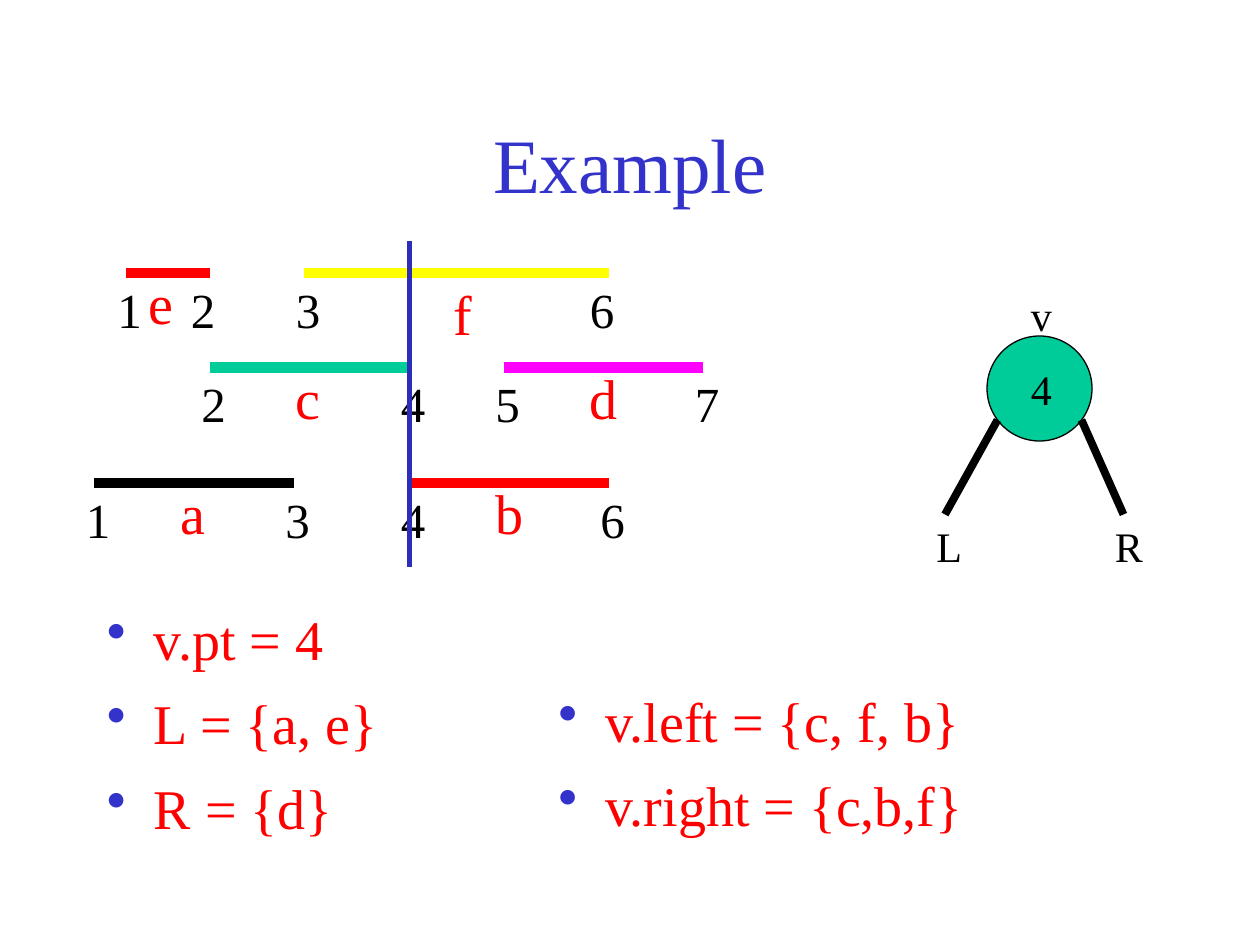
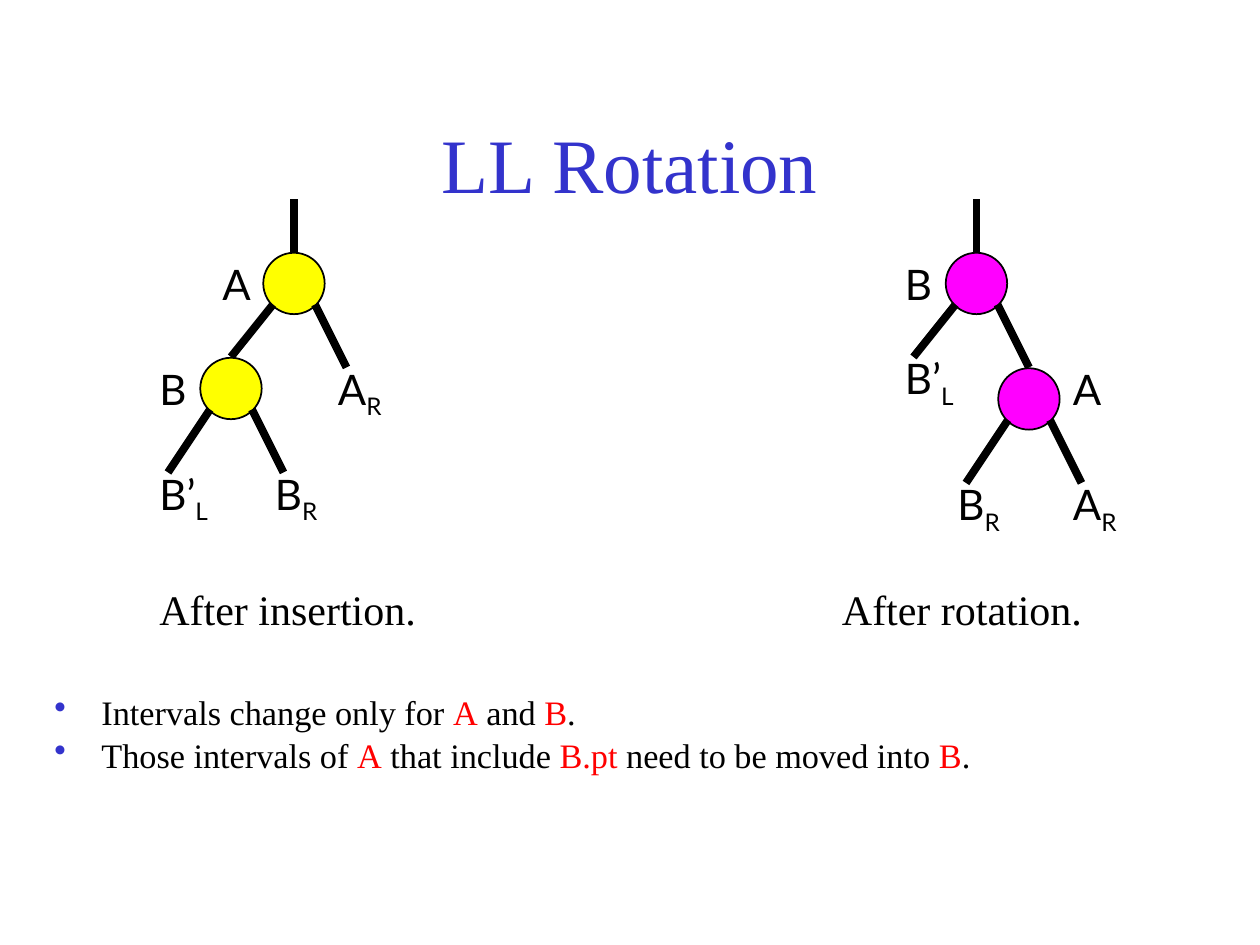
from dataclasses import dataclass

from lxml.etree import SubElement
from pptx import Presentation
from pptx.dml.color import RGBColor as Rgb
from pptx.enum.shapes import MSO_CONNECTOR as Connector, MSO_SHAPE as Preset
from pptx.enum.text import MSO_ANCHOR as Anchor, PP_ALIGN as Align
from pptx.oxml.ns import qn
from pptx.util import Cm, Pt


@dataclass(frozen=True)
class Theme:
    serif: str = "Times New Roman"
    sans: str = "Lato"
    blue: str = "3333CC"
    sweep: str = "2D2DB9"
    red: str = "FF0000"
    black: str = "000000"
    green: str = "00CC99"
    yellow: str = "FFFF00"
    magenta: str = "FF00FF"
    title: float = 44
    large: float = 32
    number: float = 28
    label: float = 24
    note: float = 19.6
    interval_line: float = 6
    branch_line: float = 4.5
    sweep_line: float = 3


THEME = Theme()
TITLE_ONLY = 5
GRID_STEP = 25.4 / 120


def grid(steps):
    return Cm(steps * GRID_STEP)


def apply_format(target, values):
    for name, value in values.items():
        setattr(target, name, value)


def add_span(para, text, size, color=THEME.black, font=THEME.serif, subscript=False):
    span = para.add_run()
    span.text = text
    apply_format(span.font, {"name": font, "size": Pt(size), "bold": False})
    span.font.color.rgb = Rgb.from_string(color)
    if subscript:
        span.font._element.set("baseline", "-25000")


def add_page(deck, title):
    page = deck.slides.add_slide(deck.slide_layouts[TITLE_ONLY])
    box = page.shapes.title
    apply_format(box, {"left": grid(9), "top": grid(8), "width": grid(102), "height": grid(15)})
    apply_format(box.text_frame, {"vertical_anchor": Anchor.MIDDLE, "word_wrap": True})
    para = box.text_frame.paragraphs[0]
    para.alignment = Align.CENTER
    add_span(para, title, THEME.title, THEME.blue)
    return page


def add_box(page, left, top, width, height):
    box = page.shapes.add_textbox(grid(left), grid(top), grid(width), grid(height))
    box.text_frame.word_wrap = True
    return box.text_frame


def add_label(page, text, left, top, width=4, size=THEME.label, color=THEME.black,
              font=THEME.serif, subscript=""):
    para = add_box(page, left, top, width, 6).paragraphs[0]
    add_span(para, text, size, color, font)
    if subscript:
        add_span(para, subscript, size, color, font, True)


def add_bullets(page, area, items, size, spacing):
    frame = add_box(page, *area)
    for index, pieces in enumerate(items):
        para = frame.add_paragraph() if index else frame.paragraphs[0]
        apply_format(para, spacing)
        properties = para._p.get_or_add_pPr()
        properties.set("marL", str(Cm(0.95)))
        properties.set("indent", str(-Cm(0.95)))
        bullet_color = SubElement(properties, qn("a:buClr"))
        SubElement(bullet_color, qn("a:srgbClr"), val=THEME.blue)
        SubElement(properties, qn("a:buChar"), char="•")
        for text, color in pieces:
            add_span(para, text, size, color)


def add_line(page, start, end, color, width):
    ends = [grid(value) for value in (*start, *end)]
    line = page.shapes.add_connector(Connector.STRAIGHT, *ends)
    line.line.color.rgb = Rgb.from_string(color)
    line.line.width = Pt(width)
    SubElement(line._element.spPr, qn("a:effectLst"))


def add_branch(page, start, end):
    add_line(page, start, end, THEME.black, THEME.branch_line)


def add_circle(page, center, diameter, fill, outline):
    left, top = (value - diameter / 2 for value in center)
    circle = page.shapes.add_shape(Preset.OVAL, grid(left), grid(top), grid(diameter), grid(diameter))
    circle.shadow.inherit = False
    circle.fill.solid()
    circle.fill.fore_color.rgb = Rgb.from_string(fill)
    circle.line.color.rgb = Rgb.from_string(THEME.black)
    circle.line.width = Pt(outline)


def add_interval(page, name, color, start, end, top, name_at, numbers, end_shift=2):
    add_line(page, (start, top), (end, top), color, THEME.interval_line)
    for number, left in zip(numbers, (start - 2, end - end_shift)):
        add_label(page, number, left, top, 5, THEME.number)
    add_label(page, name, *name_at, 5, THEME.large, THEME.red)


def add_tree_node(page, center, fill, left_drop, stem=False):
    x, y = center
    add_circle(page, center, 5.85, fill, 1)
    add_branch(page, (x - 2, y + 2), (x - 6, y + left_drop))
    add_branch(page, (x + 2, y + 2), (x + 5, y + 8))
    if stem:
        add_branch(page, (x, y - 3), (x, y - 8))


def build_example(deck):
    page = add_page(deck, "Example")
    for interval in (
        ("e", THEME.red, 12, 20, 26, (13, 25), "12", 3),
        ("a", THEME.black, 9, 28, 46, (16, 45), "13"),
        ("c", THEME.green, 20, 39, 35, (27, 34), "24"),
        ("b", THEME.red, 39, 58, 46, (46, 45), "46"),
        ("f", THEME.yellow, 29, 58, 26, (42, 26), "36", 3),
        ("d", THEME.magenta, 48, 67, 35, (55, 34), "57"),
    ):
        add_interval(page, *interval)
    add_line(page, (39, 23), (39, 54), THEME.sweep, THEME.sweep_line)

    add_circle(page, (99, 37), 10, THEME.green, 0.75)
    add_branch(page, (95, 40), (90, 49))
    add_branch(page, (103, 40), (107, 49))
    for text, left, top in (("v", 97, 27), ("4", 97, 34), ("L", 88, 49), ("R", 105, 49)):
        add_label(page, text, left, top)

    for area, lines in (
        ((9, 57, 31, 25), ("v.pt = 4", "L = {a, e}", "R = {d}")),
        ((52, 64.8, 54, 17), ("v.left = {c, f, b}", "v.right = {c,b,f}")),
    ):
        items = [[(line, THEME.red)] for line in lines]
        add_bullets(page, area, items, THEME.large, {"space_before": Pt(9.75)})


def build_rotation(deck):
    page = add_page(deck, "LL Rotation")
    add_tree_node(page, (28, 27), THEME.yellow, 7, stem=True)
    add_tree_node(page, (22, 37), THEME.yellow, 8)
    add_tree_node(page, (93, 27), THEME.magenta, 7, stem=True)
    add_tree_node(page, (98, 38), THEME.magenta, 8)
    for text, subscript, left, top in (
        ("A", "", 20, 24), ("B", "", 14, 34),
        ("B’", "L", 14, 44), ("B", "R", 25, 44), ("A", "R", 31, 34),
        ("B", "", 85, 24), ("A", "", 101, 34),
        ("B’", "L", 85, 33), ("B", "R", 90, 45), ("A", "R", 101, 45),
    ):
        width = 9 if subscript else 4
        add_label(page, text, left, top, width, font=THEME.sans, subscript=subscript)
    for caption, left in (("After insertion.", 14), ("After rotation.", 79)):
        add_label(page, caption, left, 55, 32)

    black, red = THEME.black, THEME.red
    items = (
        (("Intervals change only for ", black), ("A", red), (" and ", black), ("B", red), (".", black)),
        (("Those intervals of ", black), ("A", red), (" that include ", black), ("B.pt", red),
         (" need to be moved into ", black), ("B", red), (".", black)),
    )
    spacing = {"line_spacing": 0.8, "space_before": Pt(5.5)}
    add_bullets(page, (4, 66, 102, 8), items, THEME.note, spacing)


def main():
    deck = Presentation()
    apply_format(deck, {"slide_width": Cm(25.4), "slide_height": Cm(19.05)})
    build_example(deck)
    build_rotation(deck)
    deck.save("out.pptx")


if __name__ == "__main__":
    main()
